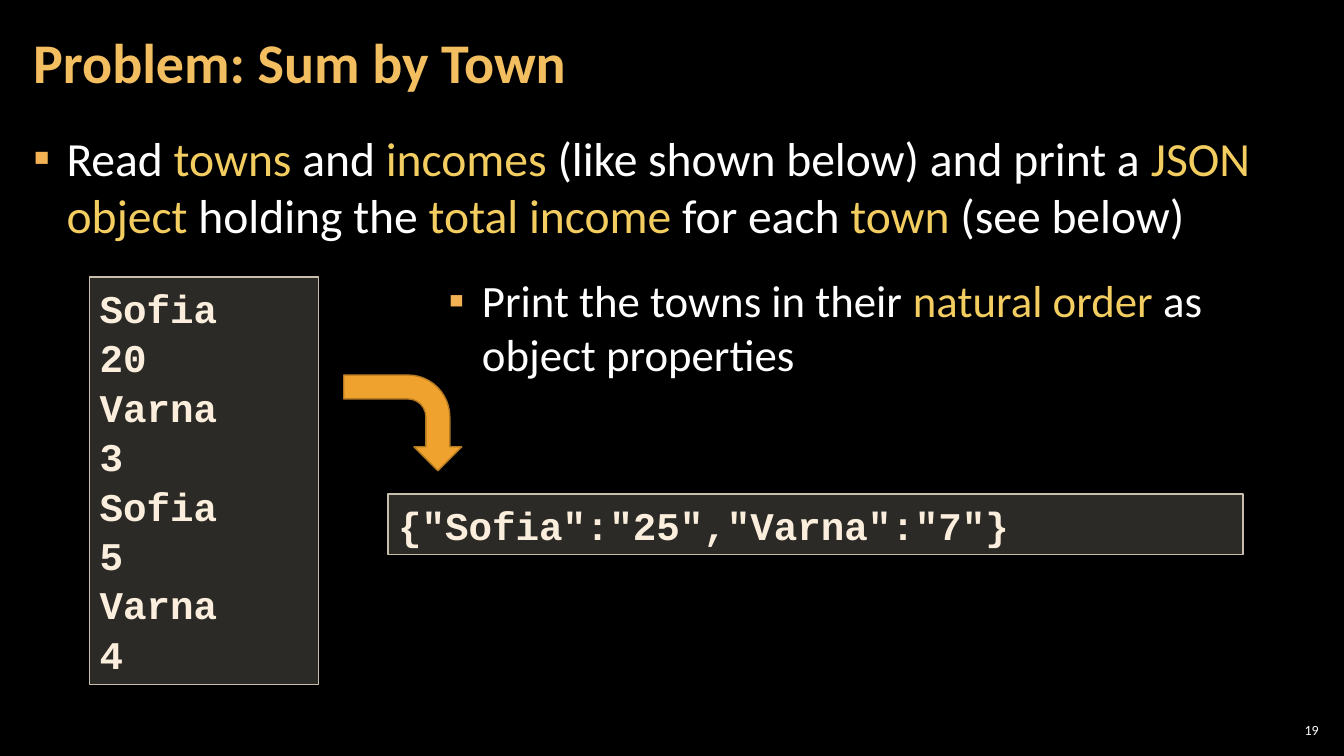
from dataclasses import dataclass

from lxml import etree
from pptx import Presentation
from pptx.dml.color import RGBColor
from pptx.enum.shapes import MSO_SHAPE
from pptx.enum.text import MSO_ANCHOR, PP_ALIGN
from pptx.oxml.ns import qn
from pptx.util import Emu, Pt

RECT, BENT = MSO_SHAPE.RECTANGLE, MSO_SHAPE.BENT_ARROW
TOP, MIDDLE = MSO_ANCHOR.TOP, MSO_ANCHOR.MIDDLE
LEFT, RIGHT = PP_ALIGN.LEFT, PP_ALIGN.RIGHT
PX = 9144  # 100 px to the inch


@dataclass(frozen=True)
class Theme:
    back: str = "000000"
    text: str = "FFFFFF"
    title: str = "F3BE60"
    hot: str = "F3CD60"
    bullet: str = "F2B254"
    code: str = "FBEEDC"
    panel: str = "D9D5C7"
    edge: str = "C7BFAC"
    arrow: str = "F0A22E"
    rim: str = "B27822"
    font: str = "Calibri"
    mono: str = "Courier New"
    head_pt: int = 40
    body_pt: int = 34
    note_pt: int = 32
    code_pt: int = 28
    page_pt: int = 10


THEME = Theme()


def px(num):
    return Emu(num * PX)


def rgb(color):
    return RGBColor.from_string(color)


def add_bullet(para):
    """Give a paragraph a hanging square bullet."""
    props = para._p.get_or_add_pPr()
    props.set("marL", str(px(33)))
    props.set("indent", str(px(-33)))
    color = etree.SubElement(props, qn("a:buClr"))
    etree.SubElement(color, qn("a:srgbClr"), val=THEME.bullet)
    etree.SubElement(props, qn("a:buFont"), typeface=THEME.font)
    etree.SubElement(props, qn("a:buChar"), char="▪")
    para.space_after = Pt(6)


def write(shape, text, size, color=THEME.text, font=THEME.font, bold=False,
          align=LEFT, anchor=TOP, pad=(12, 4), lead=None, bullet=False):
    """Fill a shape with lines of text; parts between bars are highlighted."""
    frame = shape.text_frame
    frame.word_wrap = True
    frame.vertical_anchor = anchor
    frame.margin_left = frame.margin_right = px(pad[0])
    frame.margin_top = frame.margin_bottom = px(pad[1])
    for row, line in enumerate(text.split("\n")):
        para = frame.add_paragraph() if row else frame.paragraphs[0]
        para.alignment = align
        if bullet:
            add_bullet(para)
        if lead:
            para.line_spacing = lead
        for part, words in enumerate(line.split("|")):
            run = para.add_run()
            run.text = words
            run.font.name = font
            run.font.size = Pt(size)
            run.font.bold = bold
            run.font.color.rgb = rgb(THEME.hot if part % 2 else color)


def add_text(slide, box, text, size, **style):
    shape = slide.shapes.add_textbox(*map(px, box))
    write(shape, text, size, **style)


def add_block(slide, kind, box, fill, line):
    shape = slide.shapes.add_shape(kind, *map(px, box))
    shape.shadow.inherit = False
    shape.fill.solid()
    shape.fill.fore_color.rgb = rgb(fill)
    shape.line.color.rgb = rgb(line)
    shape.line.width = Pt(1)
    return shape


def add_code(slide, box, text):
    """Draw a see-through panel with code."""
    panel = add_block(slide, RECT, box, THEME.panel, THEME.edge)
    tint = panel._element.spPr.find(qn("a:solidFill"))[0]
    etree.SubElement(tint, qn("a:alpha"), val="20000")
    write(panel, text, THEME.code_pt, color=THEME.code, font=THEME.mono,
          bold=True, pad=(10, 5), lead=Pt(35.25))


def main():
    deck = Presentation()
    deck.slide_width, deck.slide_height = px(1333), px(750)
    slide = deck.slides.add_slide(deck.slide_layouts[6])
    slide.background.fill.solid()
    slide.background.fill.fore_color.rgb = rgb(THEME.back)

    # Task, page number and title
    add_text(slide, (21, 124, 1291, 609),
             "Read |towns| and |incomes| (like shown below) and print a "
             "|JSON object |holding the |total income| for each |town| "
             "(see below)", THEME.body_pt, bullet=True)
    add_text(slide, (1265, 714, 47, 21), "19", THEME.page_pt,
             align=RIGHT, anchor=MIDDLE, pad=(4, 4))
    add_text(slide, (21, 4, 1047, 121), "Problem: Sum by Town",
             THEME.head_pt, color=THEME.title, bold=True, anchor=MIDDLE,
             lead=0.9)

    # Output and input samples
    add_code(slide, (385, 490, 848, 60), '{"Sofia":"25","Varna":"7"}')
    add_code(slide, (89, 275, 227, 404),
             "Sofia\n20\nVarna\n3\nSofia\n5\nVarna\n4")

    # Arrow from input to output
    arrow = add_block(slide, BENT, (352, 361, 95, 117),
                      THEME.arrow, THEME.rim)
    arrow.rotation = 90

    # Note on order
    add_text(slide, (433, 267, 775, 133),
             "Print the towns in their |natural order |as object properties",
             THEME.note_pt, bullet=True)

    deck.save("out.pptx")


if __name__ == "__main__":
    main()
